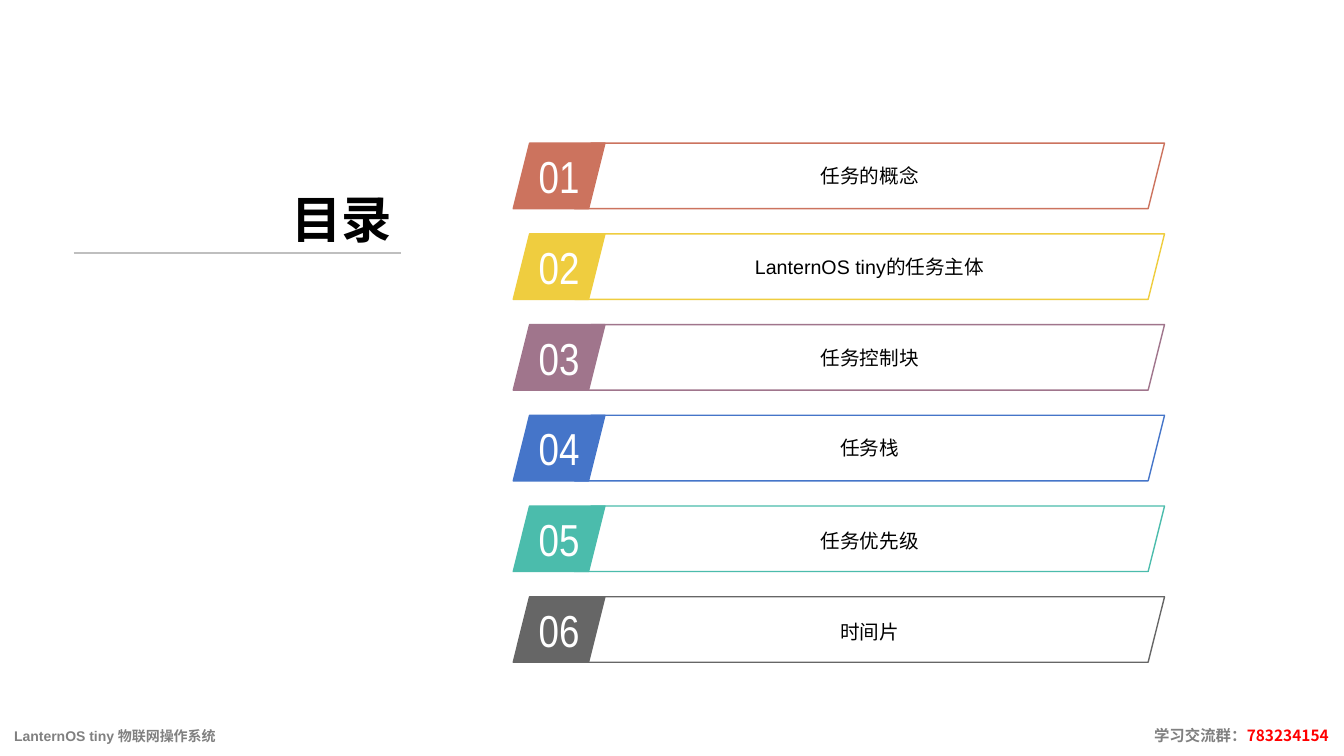
"""Builds a contents slide with six numbered, slanted bars."""
from dataclasses import dataclass

from lxml import etree
from pptx import Presentation
from pptx.dml.color import RGBColor
from pptx.enum.shapes import MSO_CONNECTOR, MSO_SHAPE
from pptx.enum.text import MSO_ANCHOR, PP_ALIGN
from pptx.oxml.ns import qn
from pptx.util import Inches, Pt

SLANTED = MSO_SHAPE.PARALLELOGRAM
STRAIGHT = MSO_CONNECTOR.STRAIGHT
MIDDLE, BOTTOM = MSO_ANCHOR.MIDDLE, MSO_ANCHOR.BOTTOM
CENTER, RIGHT = PP_ALIGN.CENTER, PP_ALIGN.RIGHT


@dataclass(frozen=True)
class Theme:
    """Colours, fonts and type sizes of the slide."""
    font: str = "Arial"
    number_font: str = "Arial Narrow"
    digit_font: str = "Noto Sans CJK KR"
    black: str = "000000"
    white: str = "FFFFFF"
    grey: str = "808080"
    rule: str = "BFBFBF"
    red: str = "FF0000"
    title: int = 36
    number: int = 32
    item: int = 14
    contact: int = 11
    footer: int = 10


THEME = Theme()
WIDTH, HEIGHT = 13.33, 7.5
LIST_TOP, ROW_PITCH, ROW_HEIGHT = 1.42, 0.9, 0.65
NUMBER_LEFT, NUMBER_WIDTH = 5.09, 0.91
BAR_LEFT, BAR_WIDTH = 5.7, 5.85
FOOTER_INSET, FOOTER_TAB = 0.14, 13.04

ITEMS = [
    ("任务的概念", "CC735E", 1.0),
    ("LanternOS tiny的任务主体", "EFCD3F", 1.0),
    ("任务控制块", "A0758C", 1.0),
    ("任务栈", "4575C9", 1.0),
    ("任务优先级", "4BBCAC", 1.2),
    ("时间片", "666666", 1.2),
]


def rgb(color):
    """Turn a hex string into a colour."""
    return RGBColor.from_string(color)


def box(left, top, width, height):
    """Turn a place in inches into lengths."""
    return [Inches(v) for v in (left, top, width, height)]


def style(r, size, color, font=THEME.font, bold=False):
    """Format one run."""
    r.font.size, r.font.name, r.font.bold = Pt(size), font, bold
    r.font.color.rgb = rgb(color)


def add_slanted(s, place, color, text, filled=False):
    """Add a parallelogram with centred text and return its paragraph."""
    sp = s.shapes.add_shape(SLANTED, *box(*place))
    sp.shadow.inherit = False
    if filled:
        sp.fill.solid()
        sp.fill.fore_color.rgb = rgb(color)
    else:
        sp.fill.background()
    sp.line.color.rgb, sp.line.width = rgb(color), Pt(1)
    tf = sp.text_frame
    tf.text, tf.word_wrap, tf.vertical_anchor = text, not filled, MIDDLE
    p = tf.paragraphs[0]
    p.alignment = CENTER
    return p


def add_item(s, row, text, color, spacing):
    """Add one numbered row of the contents list."""
    top = LIST_TOP + row * ROW_PITCH
    p = add_slanted(s, (NUMBER_LEFT, top, NUMBER_WIDTH, ROW_HEIGHT),
                    color, f"{row + 1:02d}", filled=True)
    style(p.runs[0], THEME.number, THEME.white, THEME.number_font)
    p = add_slanted(s, (BAR_LEFT, top, BAR_WIDTH, ROW_HEIGHT), color, text)
    p.line_spacing = spacing
    style(p.runs[0], THEME.item, THEME.black)


def add_title(s, text):
    """Fill the title placeholder and underline it with a rule."""
    sp = s.shapes.title
    sp.left, sp.top, sp.width, sp.height = box(1.6, LIST_TOP, 2.39, 1.1)
    tf = sp.text_frame
    tf.text, tf.word_wrap, tf.vertical_anchor = text, True, BOTTOM
    p = tf.paragraphs[0]
    p.alignment = RIGHT
    style(p.runs[0], THEME.title, THEME.black, bold=True)
    rule = s.shapes.add_connector(STRAIGHT, *box(0.73, 2.51, 3.98, 2.51))
    rule.line.color.rgb, rule.line.width = rgb(THEME.rule), Pt(1.5)
    etree.SubElement(rule._element.spPr, qn("a:effectLst"))


def add_footer(s):
    """Add the footer line, its contact part set at a right tab."""
    sp = s.shapes.add_textbox(*box(0, 7.1, WIDTH, 0.4))
    tf = sp.text_frame
    tf.word_wrap, tf.vertical_anchor = True, MIDDLE
    tf.margin_left = Inches(FOOTER_INSET)
    p = tf.paragraphs[0]
    tabs = etree.SubElement(p._p.get_or_add_pPr(), qn("a:tabLst"))
    etree.SubElement(tabs, qn("a:tab"), pos=str(Inches(FOOTER_TAB)), algn="r")
    for text, size, color, font in (
        ("LanternOS tiny 物联网操作系统\t", THEME.footer, THEME.grey, THEME.font),
        ("学习交流群：", THEME.contact, THEME.grey, THEME.font),
        ("783234154", THEME.contact, THEME.red, THEME.digit_font),
    ):
        r = p.add_run()
        r.text = text
        style(r, size, color, font, bold=True)


def main():
    """Build and save the slide."""
    prs = Presentation()
    prs.slide_width, prs.slide_height = Inches(WIDTH), Inches(HEIGHT)
    s = prs.slides.add_slide(prs.slide_layouts[5])
    for row, item in enumerate(ITEMS):
        add_item(s, row, *item)
    add_title(s, "目录")
    add_footer(s)
    prs.save("out.pptx")


if __name__ == "__main__":
    main()
